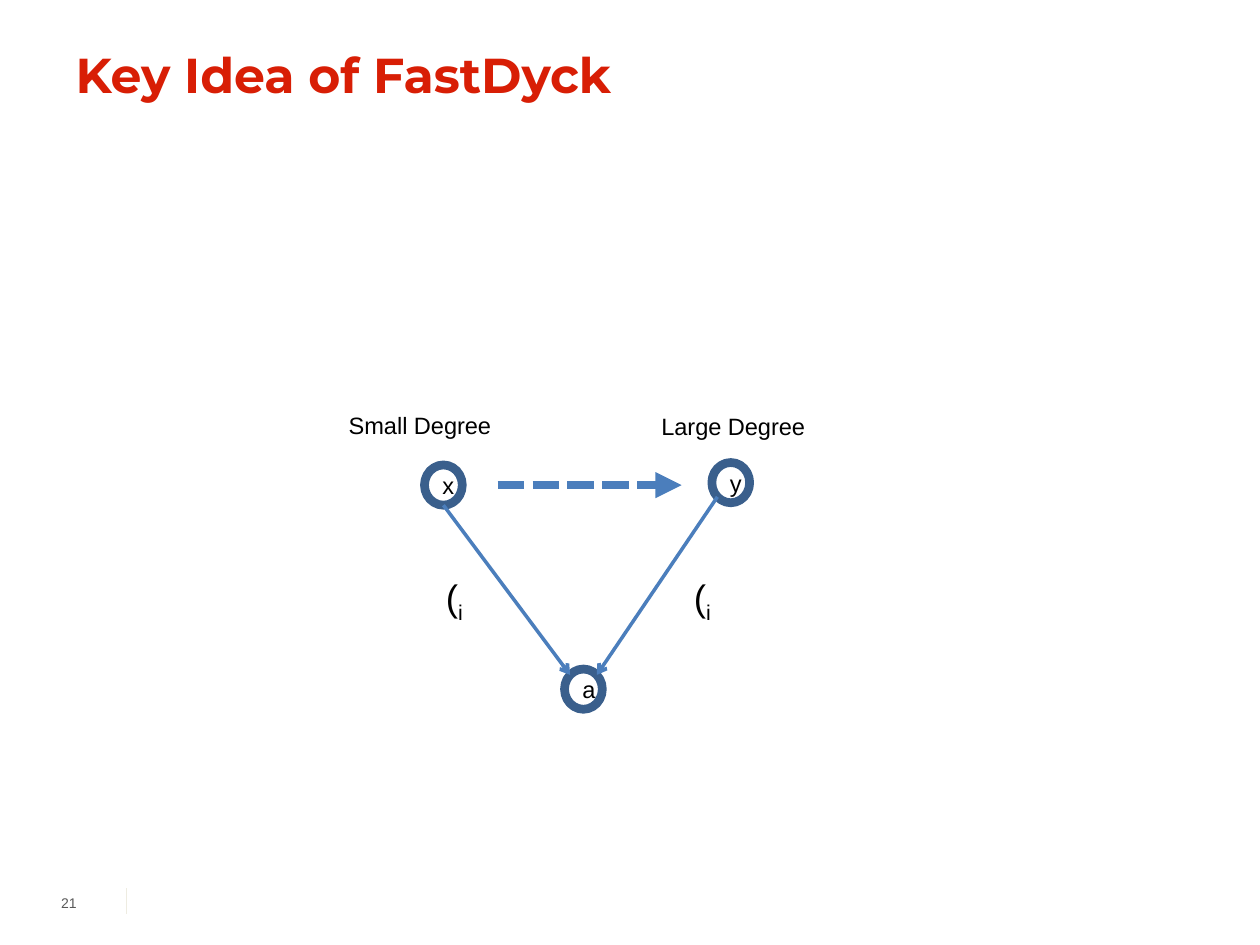
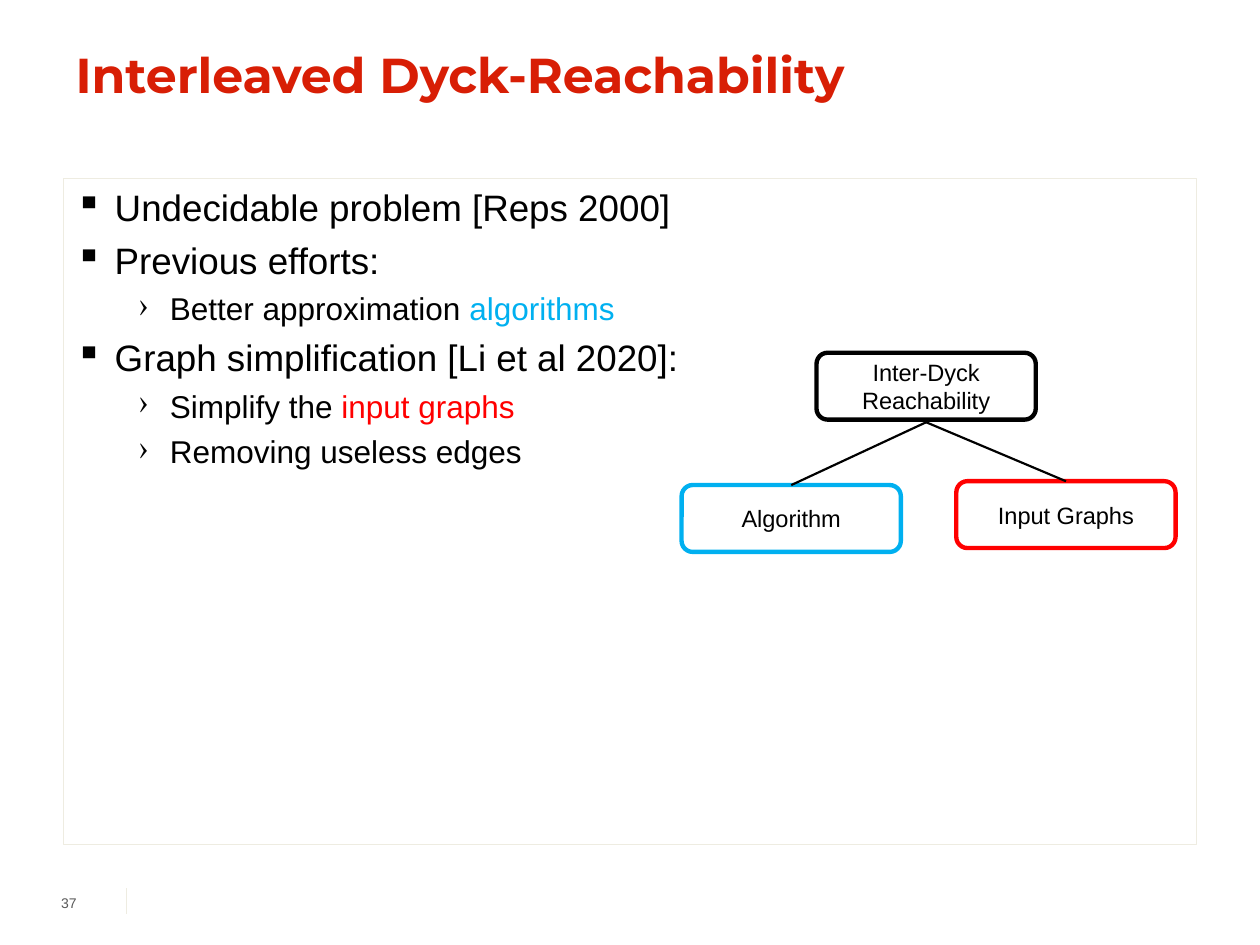
from math import cos, radians, sin

from lxml.etree import SubElement
from pptx import Presentation
from pptx.dml.color import RGBColor
from pptx.enum.dml import MSO_LINE_DASH_STYLE as Dash
from pptx.enum.shapes import MSO_CONNECTOR as Connector, MSO_SHAPE as Shape
from pptx.enum.text import MSO_ANCHOR as Anchor, MSO_AUTO_SIZE as AutoSize, PP_ALIGN as Align
from pptx.oxml.ns import qn
from pptx.util import Pt

COLORS = {
    "title": "D81E05", "text": "000000", "number": "595959", "rule": "EEECE1",
    "node": "3A5F8C", "edge": "4B7EBC", "algorithm": "00B0F0", "input": "FF0000",
}
TITLE_FORMAT = {"name": "Montserrat", "size": Pt(28), "bold": True}
TITLE_BOX = (36, 21.6, 648, 68.4)
NUMBER_BOX = (23.76, 504, 23.76, 23.76)
DEFAULT_INSETS = (7.2, 3.6, 7.2, 3.6)

IDEA = {"title": "Key Idea of FastDyck", "number": "21"}
NODE_SIZE = (21.6, 23)
NODES = {"x": (253.4, 277.2), "a": (333.4, 393.8), "y": (417.6, 275.8)}
EDGES = [("x", 90, "a", 225), ("y", 135, "a", 315)]
REACHES = ((284.4, 277.2), (389.5, 277.2))
DEGREE_LABELS = [("Small Degree", 192.2, 231.1), ("Large Degree", 370.8, 231.8)]
PARENTHESIS_LEFTS = [247.7, 389.5]

INTERLEAVED = {"title": "Interleaved Dyck-Reachability", "number": "37"}
BODY_BOX = (36, 102.2, 648, 380.2)
BODY = [
    (0, [("Undecidable problem [Reps 2000]", "text")]),
    (0, [("Previous efforts:", "text")]),
    (1, [("Better approximation ", "text"), ("algorithms", "algorithm")]),
    (0, [("Graph simplification [Li et al 2020]:", "text")]),
    (1, [("Simplify the ", "text"), ("input graphs", "input")]),
    (1, [("Removing useless edges", "text")]),
]
LEVELS = [
    {"bullet": "▪", "size": 21, "margin": 22.5, "hanging": 22.5, "before": 4.8},
    {"bullet": "›", "size": 18, "margin": 54, "hanging": 18, "before": 4.2},
]
BOX_SIZE = (125.3, 38.2)
PARENT = ("Inter-Dyck Reachability", "text", 466.6, 201.6)
CHILDREN = [("Algorithm", "algorithm", 389.5, 277.2), ("Input Graphs", "input", 546.5, 275)]
PARENT_GAP = 1.5


def rgb(color):
    return RGBColor.from_string(COLORS[color])


def apply(target, values):
    for name, value in values.items():
        setattr(target, name, value)


def set_line(shape, color, width):
    shape.line.color.rgb = rgb(color)
    shape.line.width = Pt(width)


def add_run(paragraph, text, size, color="text"):
    run = paragraph.add_run()
    run.text = text
    apply(run.font, {"name": "Arial", "size": Pt(size)})
    run.font.color.rgb = rgb(color)
    return run


def add_text(slide, box, insets=DEFAULT_INSETS, anchor=Anchor.TOP):
    shape = slide.shapes.add_textbox(*map(Pt, box))
    frame = shape.text_frame
    sides = ("margin_left", "margin_top", "margin_right", "margin_bottom")
    apply(frame, dict(zip(sides, map(Pt, insets))))
    apply(frame, {"word_wrap": True, "vertical_anchor": anchor})
    return shape


def add_outline(slide, kind, box, color, width, text):
    shape = slide.shapes.add_shape(kind, *map(Pt, box))
    shape.shadow.inherit = False
    shape.fill.background()
    set_line(shape, color, width)
    paragraph = shape.text_frame.paragraphs[0]
    paragraph.alignment = Align.CENTER
    add_run(paragraph, text, 13.5)


def add_line(slide, start, end, color, width, arrow=None, dash=None):
    line = slide.shapes.add_connector(Connector.STRAIGHT, *map(Pt, (*start, *end)))
    set_line(line, color, width)
    if dash:
        line.line.dash_style = dash
    if arrow:
        SubElement(line.line._get_or_add_ln(), qn("a:tailEnd"), type=arrow)
    SubElement(line._element.spPr, qn("a:effectLst"))


def add_slide(presentation, heading):
    slide = presentation.slides.add_slide(presentation.slide_layouts[5])
    add_line(slide, (72, 507.6), (72, 522), "rule", 0.25)
    title = slide.shapes.title
    apply(title, dict(zip(("left", "top", "width", "height"), map(Pt, TITLE_BOX))))
    title.text = heading["title"]
    apply(title.text_frame, {"vertical_anchor": Anchor.TOP, "auto_size": AutoSize.NONE})
    paragraph = title.text_frame.paragraphs[0]
    paragraph.alignment = Align.LEFT
    font = paragraph.runs[0].font
    apply(font, TITLE_FORMAT)
    font.color.rgb = rgb("title")
    number = add_text(slide, NUMBER_BOX, (0, 3.6, 3.6, 3.6), Anchor.MIDDLE)
    paragraph = number.text_frame.paragraphs[0]
    paragraph.alignment = Align.RIGHT
    add_run(paragraph, heading["number"], 8, "number")
    return slide


def node_point(name, degrees):
    (x, y), (width, height) = NODES[name], NODE_SIZE
    angle = radians(degrees)
    return x + width / 2 * cos(angle), y + height / 2 * sin(angle)


def build_idea(presentation):
    slide = add_slide(presentation, IDEA)
    width, height = NODE_SIZE
    for name, (x, y) in NODES.items():
        box = (x - width / 2, y - height / 2, width, height)
        add_outline(slide, Shape.OVAL, box, "node", 5, name)
    for source, leave, target, arrive in EDGES:
        add_line(slide, node_point(source, leave), node_point(target, arrive), "edge", 2, "arrow")
    add_line(slide, *REACHES, "edge", 5, "triangle", Dash.SQUARE_DOT)
    for text, left, top in DEGREE_LABELS:
        label = add_text(slide, (left, top, 100.1, 23.8))
        add_run(label.text_frame.paragraphs[0], text, 13.5)
    for left in PARENTHESIS_LEFTS:
        label = add_text(slide, (left, 324.7, 50.4, 32.4))
        paragraph = label.text_frame.paragraphs[0]
        add_run(paragraph, "(", 21)
        subscript = add_run(paragraph, "i", 21)
        subscript._r.get_or_add_rPr().set("baseline", "-25000")


def fill_body(slide):
    body = add_text(slide, BODY_BOX)
    set_line(body, "rule", 0.5)
    frame = body.text_frame
    for index, (level, runs) in enumerate(BODY):
        paragraph = frame.add_paragraph() if index else frame.paragraphs[0]
        style = LEVELS[level]
        properties = paragraph._p.get_or_add_pPr()
        properties.set("marL", str(Pt(style["margin"])))
        properties.set("indent", str(-Pt(style["hanging"])))
        SubElement(properties, qn("a:buChar"), char=style["bullet"])
        paragraph.level = level
        if index:
            paragraph.space_before = Pt(style["before"])
        for text, color in runs:
            add_run(paragraph, text, style["size"], color)


def build_interleaved(presentation):
    slide = add_slide(presentation, INTERLEAVED)
    fill_body(slide)
    width, height = BOX_SIZE
    for text, color, left, top in [PARENT, *CHILDREN]:
        add_outline(slide, Shape.ROUNDED_RECTANGLE, (left, top, *BOX_SIZE), color, 2.5, text)
    parent_left, parent_top = PARENT[2:]
    parent_bottom = (parent_left + width / 2, parent_top + height + PARENT_GAP)
    for text, color, left, top in CHILDREN:
        add_line(slide, (left + width / 2, top), parent_bottom, "text", 1.25)


def main():
    presentation = Presentation()
    apply(presentation, {"slide_width": Pt(720), "slide_height": Pt(540)})
    build_idea(presentation)
    build_interleaved(presentation)
    presentation.save("out.pptx")


if __name__ == "__main__":
    main()
